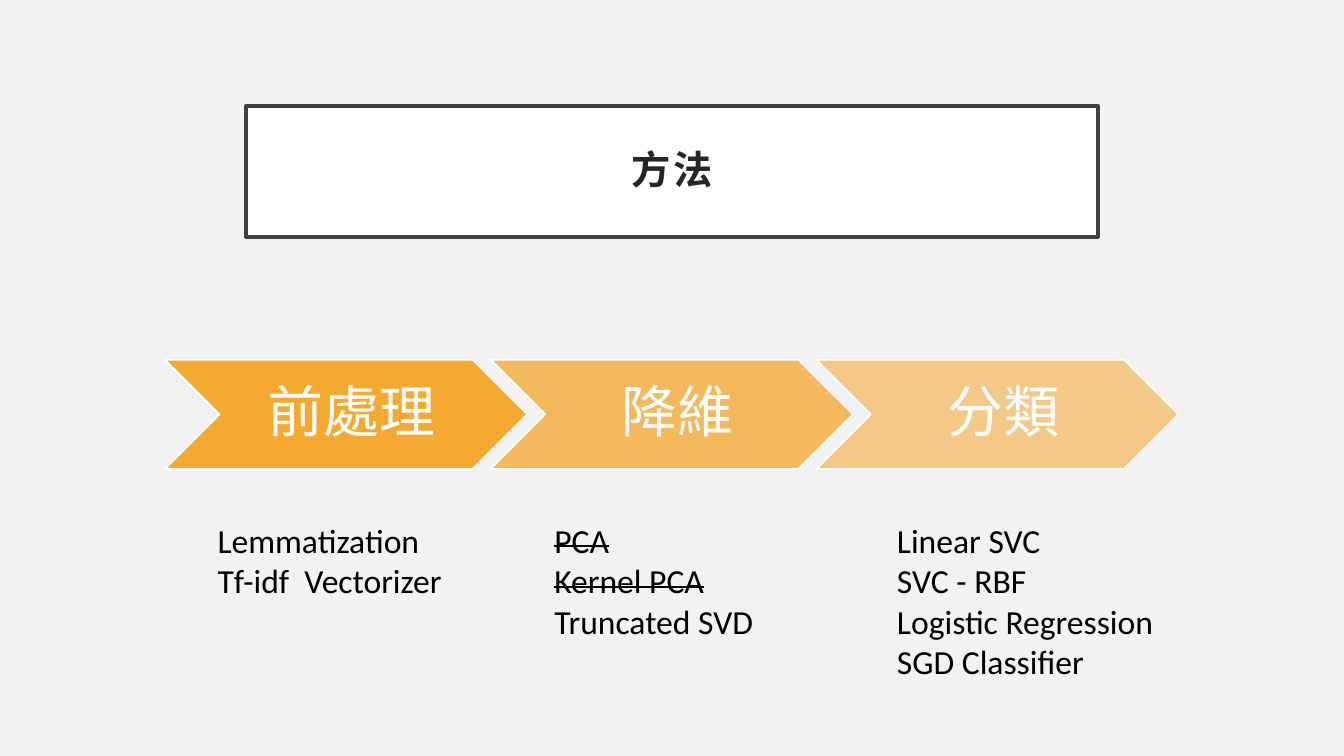
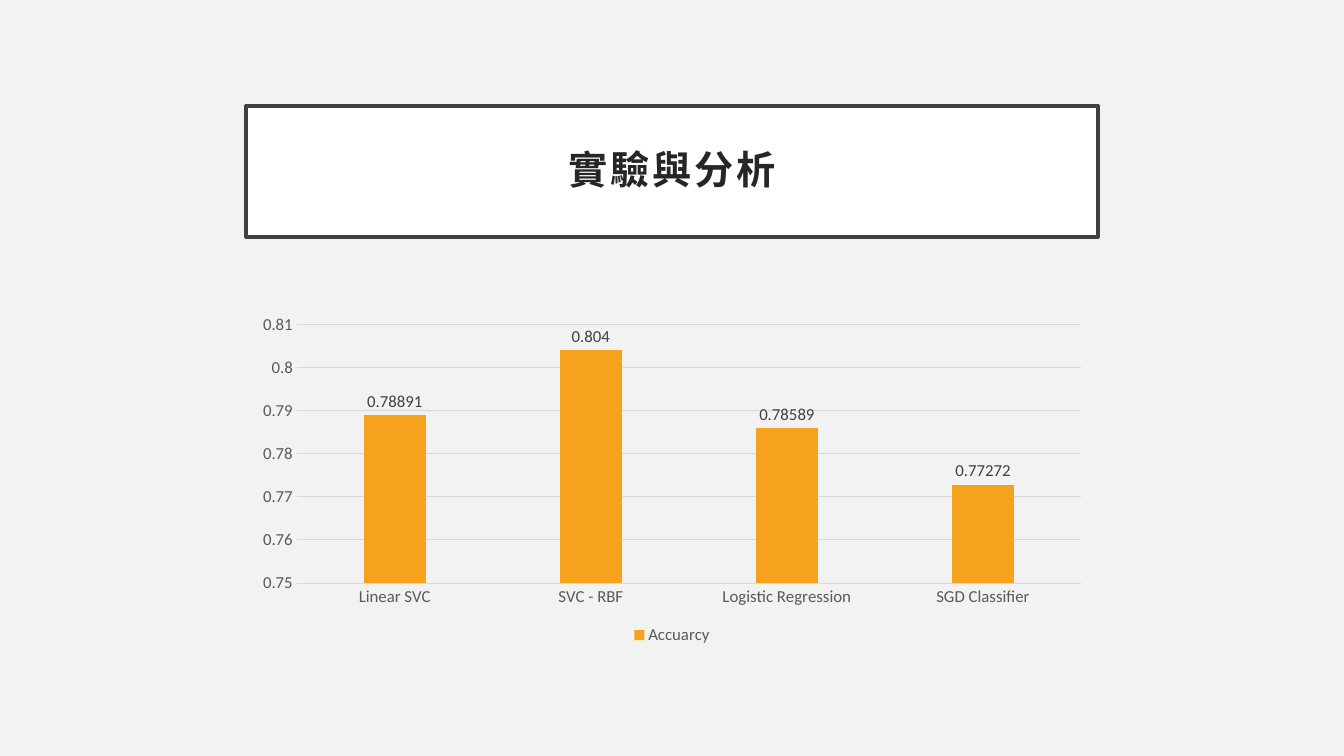
"""Build two slides: the three stages of a method and a chart of its results."""
from dataclasses import dataclass

import pptx
import pptx.chart.data
import pptx.dml.color
import pptx.enum.chart
import pptx.enum.shapes
import pptx.enum.text
import pptx.oxml
import pptx.oxml.ns
import pptx.slide
import pptx.util

FONT = "Calibri"
PAPER, WHITE, BLACK = "F2F2F2", "FFFFFF", "000000"
ORANGE, INK, FRAME = "F6A21D", "262626", "404040"
AXIS_TEXT, GRID = "595959", "D9D9D9"
SLIDE_W, SLIDE_H = pptx.util.Inches(13.33), pptx.util.Inches(7.5)
MARGIN, CONTENT_W = 18.3, 63.4
ARROW_LEFT, ARROW_STEP, ARROW_W = 12.3, 24.23, 26.92
LIST_TOP, LINE_H, LIST_PAD = 68.13, 5.4, 1.35


@dataclass(frozen=True)
class Box:
    left: float
    top: float
    width: float
    height: float

    def emu(self) -> tuple[int, int, int, int]:
        return (int(SLIDE_W * self.left / 100), int(SLIDE_H * self.top / 100),
                int(SLIDE_W * self.width / 100), int(SLIDE_H * self.height / 100))


@dataclass(frozen=True)
class Stage:
    name: str
    opacity: int
    list_left: float
    list_width: float
    items: tuple[str, ...]
    dropped: tuple[str, ...] = ()


STAGES = (
    Stage("前處理", 90, 15.45, 19.5, ("Lemmatization", "Tf-idf  Vectorizer")),
    Stage("降維", 70, 40.5, 18.15, ("PCA", "Kernel PCA", "Truncated SVD"),
          ("PCA", "Kernel PCA")),
    Stage("分類", 50, 66.0, 23.85,
          ("Linear SVC", "SVC - RBF", "Logistic Regression", "SGD Classifier")),
)
ACCURACY = {"Linear SVC": 0.78891, "SVC - RBF": 0.804,
            "Logistic Regression": 0.78589, "SGD Classifier": 0.77272}


def rgb(value: str) -> pptx.dml.color.RGBColor:
    return pptx.dml.color.RGBColor.from_string(value)


def set_font(font, size: float, color: str, bold: bool = False) -> None:
    font.name, font.size, font.bold = FONT, pptx.util.Pt(size), bold
    font.color.rgb = rgb(color)


def set_line(line, color: str, width: float) -> None:
    line.color.rgb = rgb(color)
    line.width = pptx.util.Pt(width)


def add_block(slide: pptx.slide.Slide, kind, box: Box, fill: str, line: str,
              line_w: float, text: str, size: float, color: str,
              insets: tuple[float, float, float, float], bold: bool = False):
    sp = slide.shapes.add_shape(kind, *box.emu())
    sp.shadow.inherit = False
    sp.fill.solid()
    sp.fill.fore_color.rgb = rgb(fill)
    set_line(sp.line, line, line_w)
    tf = sp.text_frame
    tf.text = text
    tf.word_wrap = True
    tf.vertical_anchor = pptx.enum.text.MSO_ANCHOR.MIDDLE
    tf.margin_left, tf.margin_top, tf.margin_right, tf.margin_bottom = (
        pptx.util.Inches(inset) for inset in insets)
    p = tf.paragraphs[0]
    p.alignment = pptx.enum.text.PP_ALIGN.CENTER
    p.line_spacing = 0.9
    set_font(p.runs[0].font, size, color, bold)
    return sp


def add_titled_slide(prs, title: str) -> pptx.slide.Slide:
    slide = prs.slides.add_slide(prs.slide_layouts[6])
    sp = add_block(slide, pptx.enum.shapes.MSO_SHAPE.RECTANGLE,
                   Box(MARGIN, 14, CONTENT_W, 17.33), WHITE, FRAME, 2.5,
                   title, 28, INK, (0.2, 0.2, 0.2, 0.2), bold=True)
    r = sp.text_frame.paragraphs[0].runs[0]
    r._r.get_or_add_rPr().set("spc", "200")
    return slide


def add_arrow(slide: pptx.slide.Slide, index: int, stage: Stage) -> None:
    box = Box(ARROW_LEFT + index * ARROW_STEP, 47.6, ARROW_W, 14.4)
    sp = add_block(slide, pptx.enum.shapes.MSO_SHAPE.CHEVRON, box, ORANGE, WHITE, 1,
                   stage.name, 40, WHITE, (0.17, 0.06, 0.06, 0.06))
    qn = pptx.oxml.ns.qn
    clr = sp._element.spPr.find(f"{qn('a:solidFill')}/{qn('a:srgbClr')}")
    clr.append(pptx.oxml.parse_xml(
        f'<a:alpha {pptx.oxml.ns.nsdecls("a")} val="{stage.opacity * 1000}"/>'))


def add_list(slide: pptx.slide.Slide, stage: Stage) -> None:
    height = LINE_H * len(stage.items) + LIST_PAD
    box = Box(stage.list_left, LIST_TOP, stage.list_width, height)
    tf = slide.shapes.add_textbox(*box.emu()).text_frame
    tf.word_wrap = True
    tf.text = "\n".join(stage.items)
    for p in tf.paragraphs:
        r = p.runs[0]
        set_font(r.font, 24, BLACK)
        if p.text in stage.dropped:
            r._r.get_or_add_rPr().set("strike", "sngStrike")


def add_accuracy_chart(slide: pptx.slide.Slide) -> None:
    data = pptx.chart.data.CategoryChartData()
    data.categories = list(ACCURACY)
    data.add_series("Accuarcy", list(ACCURACY.values()))
    kinds = pptx.enum.chart
    chart = slide.shapes.add_chart(
        kinds.XL_CHART_TYPE.COLUMN_CLUSTERED,
        *Box(MARGIN, 40.67, CONTENT_W, 45.2).emu(), data).chart
    set_font(chart.font, 10, BLACK)
    chart.has_title = False
    chart.has_legend = True
    chart.legend.position = kinds.XL_LEGEND_POSITION.BOTTOM
    chart.legend.include_in_layout = False
    set_font(chart.legend.font, 12, AXIS_TEXT)

    for axis in (chart.category_axis, chart.value_axis):
        axis.major_tick_mark = axis.minor_tick_mark = kinds.XL_TICK_MARK.NONE
        set_font(axis.tick_labels.font, 12, AXIS_TEXT)
    set_line(chart.category_axis.format.line, GRID, 0.75)
    values = chart.value_axis
    values.minimum_scale, values.maximum_scale, values.major_unit = 0.75, 0.81, 0.01
    values.format.line.fill.background()
    set_line(values.major_gridlines.format.line, GRID, 0.75)

    plot = chart.plots[0]
    plot.gap_width, plot.overlap, plot.vary_by_categories = 219, -27, False
    series = plot.series[0]
    series.format.fill.solid()
    series.format.fill.fore_color.rgb = rgb(ORANGE)
    labels = series.data_labels
    labels.show_value = True
    labels.position = kinds.XL_LABEL_POSITION.OUTSIDE_END
    set_font(labels.font, 12, FRAME)


def main() -> None:
    prs = pptx.Presentation()
    prs.slide_width, prs.slide_height = SLIDE_W, SLIDE_H
    background = prs.slide_master.background.fill
    background.solid()
    background.fore_color.rgb = rgb(PAPER)

    method = add_titled_slide(prs, "方法")
    for index, stage in enumerate(STAGES):
        add_arrow(method, index, stage)
        add_list(method, stage)
    add_accuracy_chart(add_titled_slide(prs, "實驗與分析"))
    prs.save("out.pptx")


if __name__ == "__main__":
    main()
